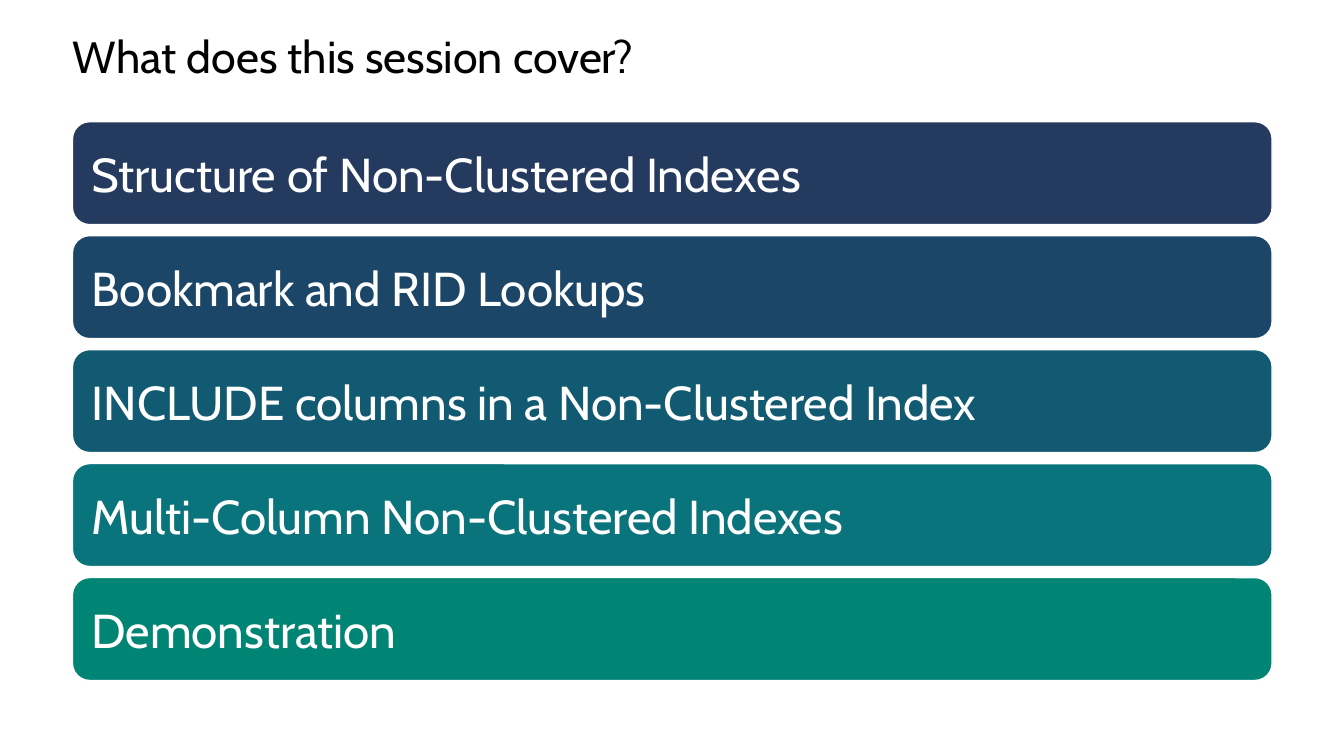
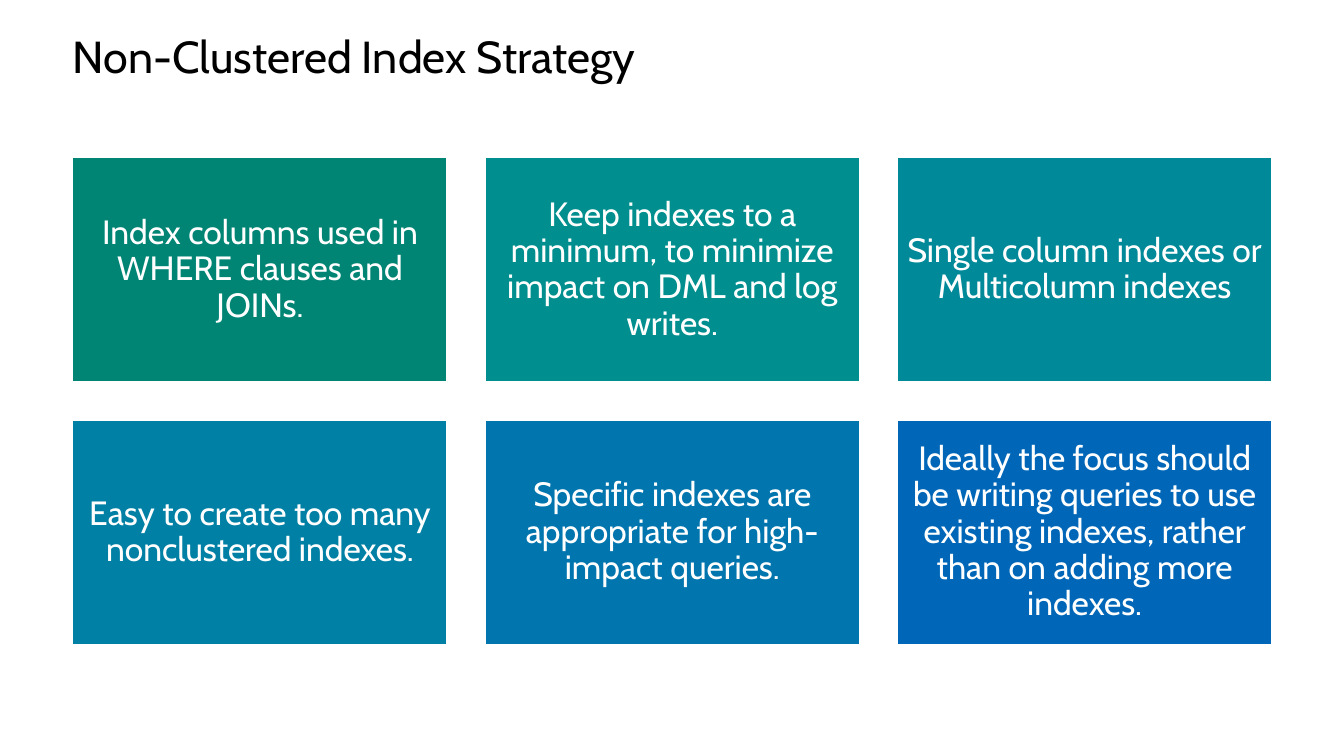
from dataclasses import dataclass

from pptx import Presentation
from pptx.dml.color import RGBColor
from pptx.enum.shapes import MSO_SHAPE
from pptx.enum.text import MSO_ANCHOR, PP_ALIGN
from pptx.util import Pt

RECTANGLE = MSO_SHAPE.RECTANGLE
ROUNDED = MSO_SHAPE.ROUNDED_RECTANGLE
TOP, MIDDLE = MSO_ANCHOR.TOP, MSO_ANCHOR.MIDDLE
LEFT, CENTER = PP_ALIGN.LEFT, PP_ALIGN.CENTER


@dataclass(frozen=True)
class Theme:
    font: str = "Cabin"
    ink: str = "000000"
    paper: str = "FFFFFF"
    title_size: float = 32
    bar_size: float = 34
    tile_size: float = 24
    bar_outline: float = 0.85
    tile_outline: float = 1.35


@dataclass(frozen=True)
class Box:
    left: float
    top: float
    width: float
    height: float

    def lengths(self):
        return [Pt(value) for value in (self.left, self.top, self.width, self.height)]


THEME = Theme()
TITLE_BOX = Box(51.84, 25.2, 856.8, 36)
BODY_BOX = Box(51.84, 87, 856.8, 399)

TOPICS = [
    ("Structure of Non-Clustered Indexes", "243A5E"),
    ("Bookmark and RID Lookups", "1B4668"),
    ("INCLUDE columns in a Non-Clustered Index", "125A71"),
    ("Multi-Column Non-Clustered Indexes", "09747B"),
    ("Demonstration", "008575"),
]
STRATEGIES = [
    ("Index columns used in WHERE clauses and JOINs.", "008575"),
    ("Keep indexes to a minimum, to minimize impact on DML and log writes.", "008F8E"),
    ("Single column indexes or Multicolumn indexes", "008999"),
    ("Easy to create too many nonclustered indexes.", "0080A4"),
    ("Specific indexes are appropriate for high-impact queries.", "0075AE"),
    ("Ideally the focus should be writing queries to use existing indexes, "
     "rather than on adding more indexes.", "0067B8"),
]


def write_text(shape, text, size, color, inset, anchor, align, spacing):
    frame = shape.text_frame
    frame.text = text
    frame.word_wrap = True
    frame.vertical_anchor = anchor
    frame.margin_left = frame.margin_right = Pt(inset)
    frame.margin_top = frame.margin_bottom = Pt(inset)
    para = frame.paragraphs[0]
    para.alignment = align
    para.line_spacing = spacing
    font = para.runs[0].font
    font.name = THEME.font
    font.size = Pt(size)
    font.color.rgb = RGBColor.from_string(color)


def add_panel(page, kind, box, fill, outline):
    panel = page.shapes.add_shape(kind, *box.lengths())
    panel.shadow.inherit = False
    panel.fill.solid()
    panel.fill.fore_color.rgb = RGBColor.from_string(fill)
    panel.line.color.rgb = RGBColor.from_string(THEME.paper)
    panel.line.width = Pt(outline)
    return panel


def add_title(page, box, text):
    title = page.shapes.add_textbox(*box.lengths())
    write_text(title, text, THEME.title_size, THEME.ink, 0, TOP, LEFT, 0.9)


def add_bars(page, box, items, gap=8):
    height = (box.height - gap * (len(items) - 1)) / len(items)
    for index, (text, fill) in enumerate(items):
        bar_box = Box(box.left, box.top + index * (height + gap), box.width, height)
        bar = add_panel(page, ROUNDED, bar_box, fill, THEME.bar_outline)
        write_text(bar, text, THEME.bar_size, THEME.paper, 10, MIDDLE, LEFT, 1.0)


def add_tiles(page, box, items, columns=3, gap_ratio=0.1, height_ratio=0.6):
    width = box.width / (columns + gap_ratio * (columns - 1))
    height = width * height_ratio
    gap = width * gap_ratio
    rows = -(-len(items) // columns)
    top = box.top + (box.height - rows * height - (rows - 1) * gap) / 2
    for index, (text, fill) in enumerate(items):
        row, column = divmod(index, columns)
        tile_box = Box(box.left + column * (width + gap), top + row * (height + gap), width, height)
        tile = add_panel(page, RECTANGLE, tile_box, fill, THEME.tile_outline)
        write_text(tile, text, THEME.tile_size, THEME.paper, 7, MIDDLE, CENTER, 0.9)


def add_page(deck, title, add_body, items):
    page = deck.slides.add_slide(deck.slide_layouts[6])
    add_title(page, TITLE_BOX, title)
    add_body(page, BODY_BOX, items)


def main():
    deck = Presentation()
    deck.slide_width, deck.slide_height = Pt(960), Pt(540)
    add_page(deck, "What does this session cover?", add_bars, TOPICS)
    add_page(deck, "Non-Clustered Index Strategy", add_tiles, STRATEGIES)
    deck.save("out.pptx")


if __name__ == "__main__":
    main()
